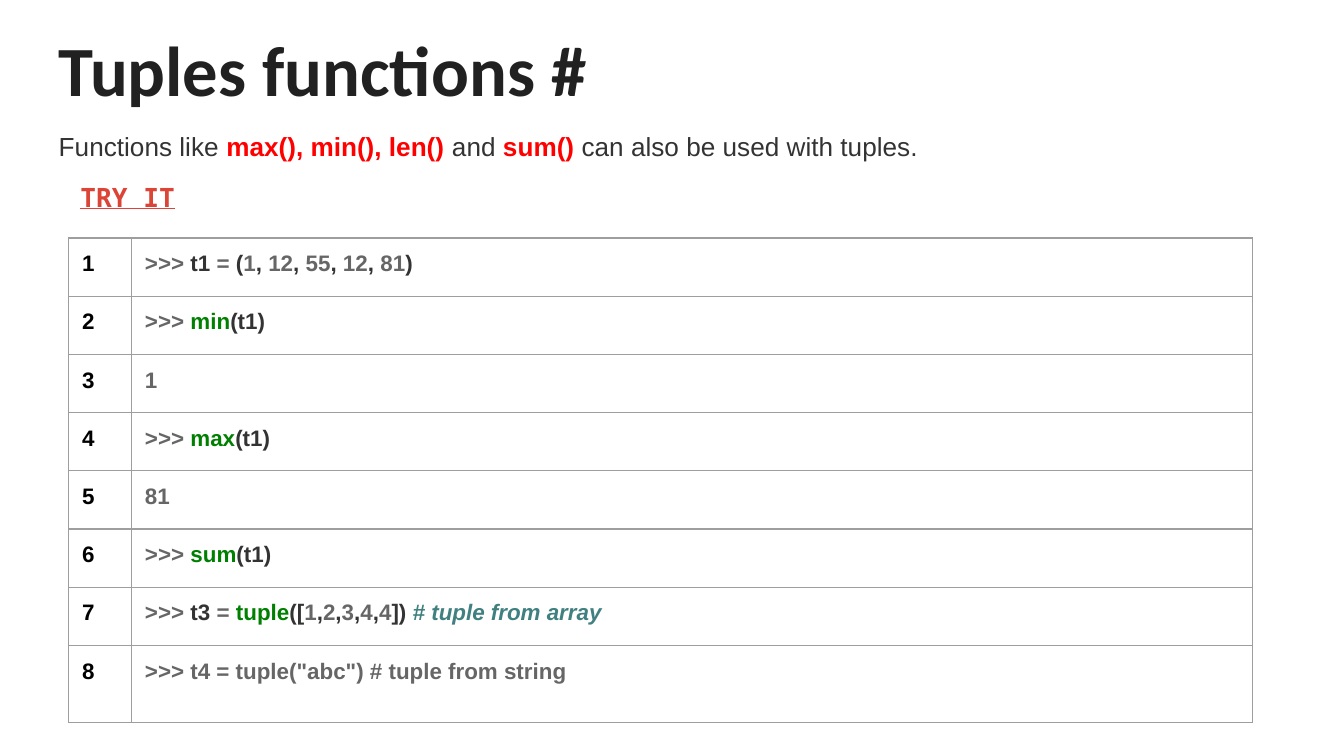
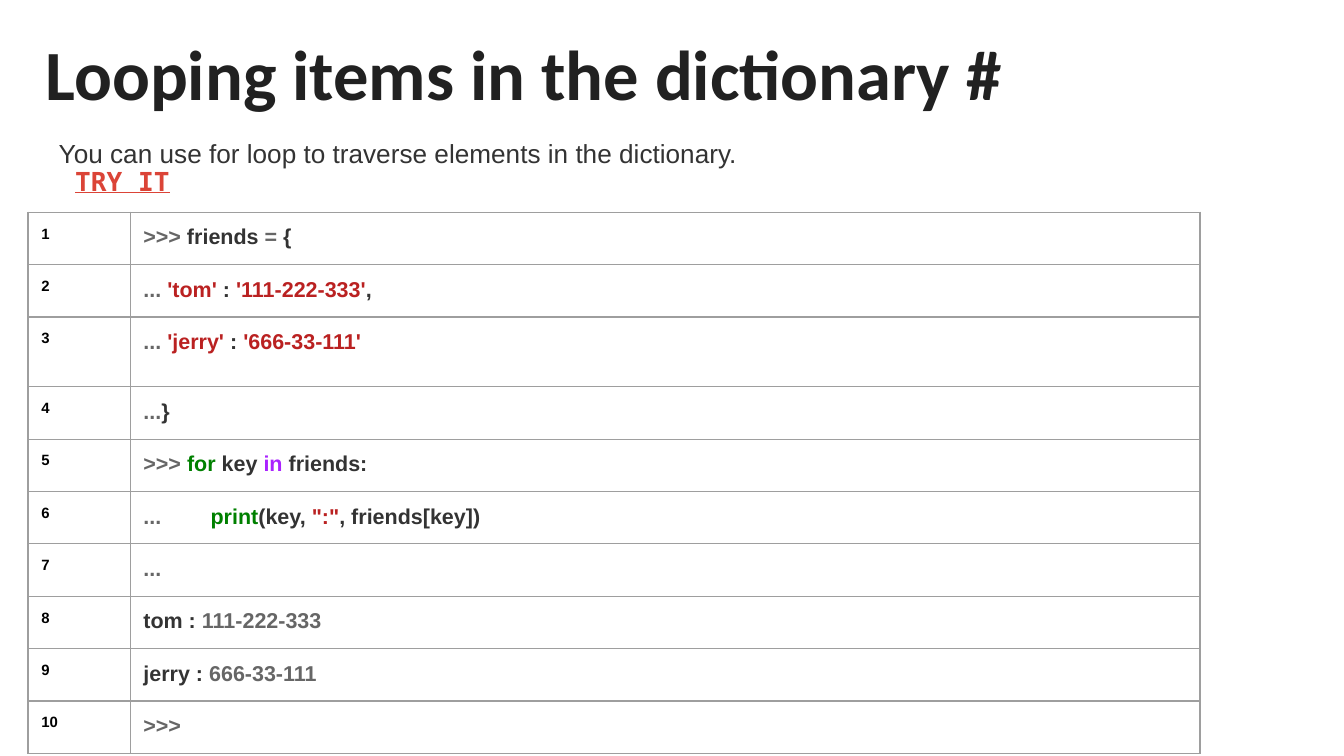
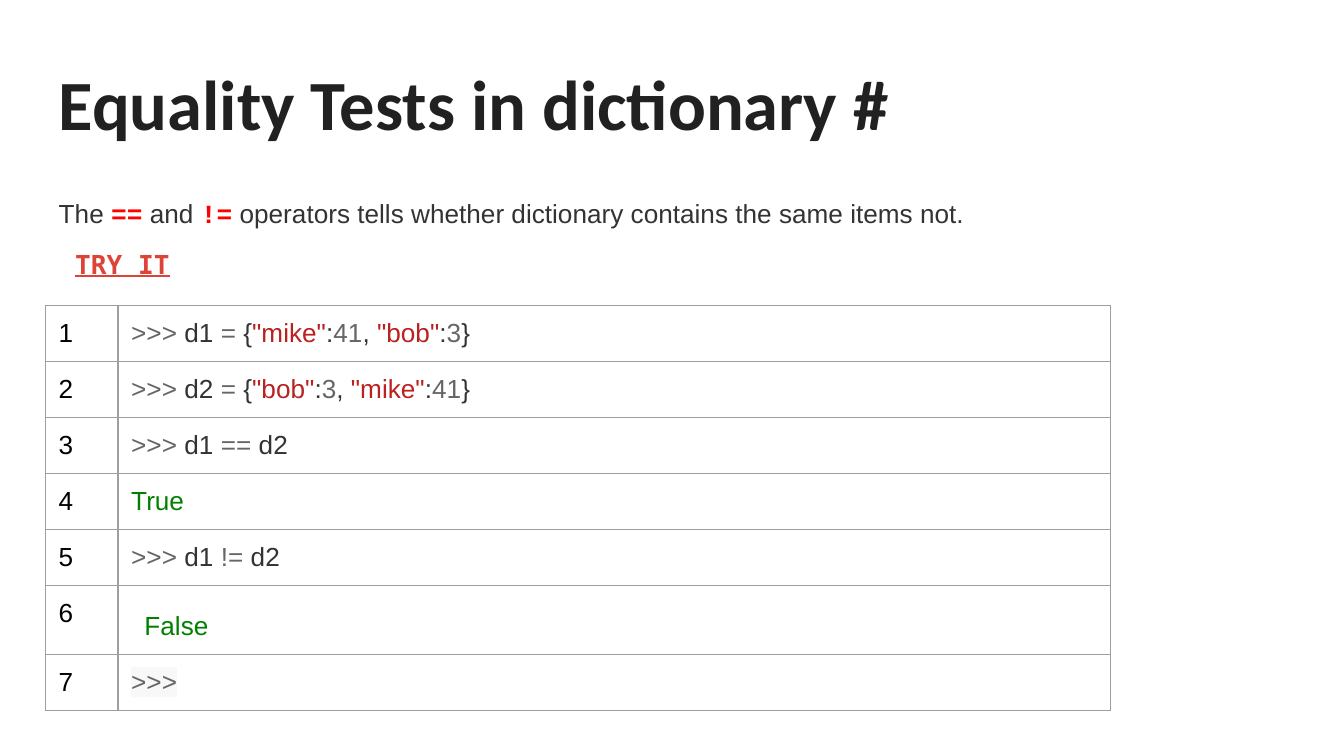
from lxml.etree import SubElement
from pptx import Presentation
from pptx.dml.color import RGBColor
from pptx.enum.text import MSO_ANCHOR, MSO_AUTO_SIZE, PP_ALIGN
from pptx.oxml.ns import qn
from pptx.util import Cm, Pt

COLORS = {
    "background": "FFFFFF",
    "heading": "212121",
    "link": "DB4437",
    "border": "9E9E9E",
    "number": "000000",
    "muted": "666666",
    "code": "333333",
    "keyword": "008000",
    "operator": "AA22FF",
    "string": "BA2121",
    "comment": "408080",
    "accent": "FF0000",
    "shade": "F8F8F8",
}
STYLES = {
    "heading": {"font": "Calibri", "bold": True},
    "link": {"font": "DejaVu Sans Mono", "bold": True, "underline": True},
    "comment": {"italic": True},
    "accent": {"bold": True},
    "symbol": {"color": "accent", "font": "Courier New", "bold": True},
    "shaded": {"color": "muted", "highlight": "shade"},
}
MARGIN = Cm(0.25)
TITLE_SIZE = (23.67, 2.24)
LINK_SIZE = (8.33, 1.12)
PROMPT = (">>> ", "muted")
DOTS = ("... ", "muted")


def set_indent(paragraph, left=0, first=0):
    properties = paragraph._p.get_or_add_pPr()
    properties.set("marL", str(Cm(left)))
    properties.set("indent", str(Cm(first)))
    return properties


def write(paragraph, parts, size, bold=False):
    for words, kind in parts:
        style = STYLES.get(kind, {})
        run = paragraph.add_run()
        run.text = words
        font = run.font
        font.size = Pt(size)
        font.name = style.get("font", "Arial")
        font.bold = style.get("bold", bold)
        font.italic = style.get("italic", False)
        font.underline = style.get("underline", False)
        font.color.rgb = RGBColor.from_string(COLORS[style.get("color", kind)])
        if "highlight" in style:
            properties = run._r.get_or_add_rPr()
            highlight = SubElement(properties, qn("a:highlight"))
            SubElement(highlight, qn("a:srgbClr")).set("val", COLORS[style["highlight"]])
            properties.find(qn("a:solidFill")).addnext(highlight)


def fill_frame(holder, place, extent, parts, size, anchor=MSO_ANCHOR.TOP, spacing=1.0, first=0):
    holder.left, holder.top = map(Cm, place)
    holder.width, holder.height = map(Cm, extent)
    frame = holder.text_frame
    frame.auto_size = MSO_AUTO_SIZE.NONE
    frame.word_wrap = True
    frame.vertical_anchor = anchor
    frame.margin_left = frame.margin_right = frame.margin_top = frame.margin_bottom = MARGIN
    paragraph = frame.paragraphs[0]
    paragraph.alignment = PP_ALIGN.LEFT
    paragraph.line_spacing = spacing
    paragraph.space_before = Pt(0)
    SubElement(set_indent(paragraph, 0, first), qn("a:buNone"))
    write(paragraph, parts, size)


def draw_borders(cell):
    properties = cell._tc.get_or_add_tcPr()
    for position, side in enumerate(("lnL", "lnR", "lnT", "lnB")):
        line = SubElement(properties, qn(f"a:{side}"))
        line.set("w", str(Pt(0.75)))
        fill = SubElement(line, qn("a:solidFill"))
        SubElement(fill, qn("a:srgbClr")).set("val", COLORS["border"])
        properties.insert(position, line)


def add_listing(slide, place, columns, row_height, tall_row, code, number_size, code_size, bold):
    heights = [row_height] * len(code)
    heights[tall_row[0] - 1] = tall_row[1]
    listing = slide.shapes.add_table(
        len(code), 2, *map(Cm, place), Cm(sum(columns)), Cm(sum(heights))
    ).table
    listing.first_row = listing.horz_banding = False
    for column, width in zip(listing.columns, columns):
        column.width = Cm(width)
    for number, (row, height, parts) in enumerate(zip(listing.rows, heights, code), 1):
        row.height = Cm(height)
        contents = (([(str(number), "number")], number_size), (parts, code_size))
        for cell, (words, size) in zip(row.cells, contents):
            cell.fill.background()
            cell.margin_left = cell.margin_right = cell.margin_top = cell.margin_bottom = MARGIN
            cell.vertical_anchor = MSO_ANCHOR.TOP
            write(cell.text_frame.paragraphs[0], words, size, bold)
            draw_borders(cell)
    return listing


def add_lesson(deck, heading, heading_at, intro, intro_at, intro_height, link_at, link_indent=0):
    slide = deck.slides.add_slide(deck.slide_layouts[1])
    slide.background.fill.solid()
    slide.background.fill.fore_color.rgb = RGBColor.from_string(COLORS["background"])
    fill_frame(slide.shapes.title, heading_at, TITLE_SIZE, [(heading, "heading")], 37.8,
               anchor=MSO_ANCHOR.MIDDLE)
    fill_frame(slide.placeholders[1], intro_at, (TITLE_SIZE[0], intro_height), intro, 14,
               spacing=1.15)
    link = slide.shapes.add_textbox(0, 0, 0, 0)
    fill_frame(link, link_at, LINK_SIZE, [("TRY IT", "link")], 14, first=link_indent)
    return slide


def call_on_t1(function):
    return [PROMPT, (function, "keyword"), ("(t1)", "code")]


def joined(values, separator):
    parts = []
    for value in values:
        parts += [(value, "muted"), (separator, "code")]
    return parts[:-1]


def assignment(name):
    return [(">>>", "muted"), (f" {name} ", "code"), ("=", "muted")]


def entry(name, age):
    return [(f'"{name}"', "string"), (":", "code"), (age, "muted")]


def ages(name, first, second):
    return [*assignment(name), (" {", "code"), *entry(*first), (", ", "code"),
            *entry(*second), ("}", "code")]


def comparison(operator):
    return [(">>>", "muted"), (" d1 ", "code"), (operator, "muted"), (" d2", "code")]


def contact(name, phone):
    return [DOTS, (f"'{name}'", "string"), (" : ", "code"), (f"'{phone}'", "string")]


def add_tuple_functions(deck):
    intro = [("Functions like ", "code"), ("max(), min(), len()", "accent"), (" and ", "code"),
             ("sum()", "accent"), (" can also be used with tuples.", "code")]
    code = [
        [*assignment("t1"), (" (", "code"),
         *joined(("1", "12", "55", "12", "81"), ", "), (")", "code")],
        call_on_t1("min"),
        [("1", "muted")],
        call_on_t1("max"),
        [("81", "muted")],
        call_on_t1("sum"),
        [*assignment("t3"), (" ", "muted"), ("tuple", "keyword"), ("([", "code"),
         *joined("12344", ","), ("]) ", "code"), ("# tuple from array", "comment")],
        [('>>> t4 = tuple("abc") # tuple from string', "muted")],
    ]
    slide = add_lesson(deck, "Tuples functions #", (0.86, 0.18), intro, (0.86, 2.13), 1.14,
                       (0, 3.18), link_indent=1.27)
    add_listing(slide, (1.3, 4.5), (1.19, 21.18), 1.1, (8, 1.45), code, 12, 12, True)


def add_dictionary_loop(deck):
    intro = [("You can use for loop to traverse elements in the dictionary.", "code")]
    code = [
        [*assignment("friends"), (" {", "code")],
        [*contact("tom", "111-222-333"), (",", "code")],
        contact("jerry", "666-33-111"),
        [("...", "muted"), ("}", "code")],
        [PROMPT, ("for", "keyword"), (" key ", "code"), ("in", "operator"),
         (" friends:", "code")],
        [("...\t", "muted"), ("print", "keyword"), ("(key, ", "code"), ('":"', "string"),
         (", friends[key])", "code")],
        [("...", "muted")],
        [("tom : ", "code"), ("111-222-333", "muted")],
        [("jerry : ", "code"), ("666-33-111", "muted")],
        [(">>>", "muted")],
    ]
    slide = add_lesson(deck, "Looping items in the dictionary #", (0.61, 0.25), intro,
                       (0.86, 2.26), 1.27, (1.17, 2.87))
    listing = add_listing(slide, (0.53, 4.01), (1.93, 20.22), 0.99, (3, 1.32), code, 8, 11.5, True)
    loop_body = listing.cell(5, 1).text_frame.paragraphs[0]
    tabs = SubElement(set_indent(loop_body), qn("a:tabLst"))
    stop = SubElement(tabs, qn("a:tab"))
    stop.set("pos", str(Cm(0.91)))
    stop.set("algn", "l")


def add_equality_tests(deck):
    intro = [("The ", "code"), ("==", "symbol"), (" and ", "code"), ("!=", "symbol"),
             (" operators tells whether dictionary contains the same items not.", "code")]
    mike, bob = ("mike", "41"), ("bob", "3")
    code = [
        ages("d1", mike, bob),
        ages("d2", bob, mike),
        comparison("=="),
        [("True", "keyword")],
        comparison("!="),
        [("False", "keyword")],
        [(">>>", "shaded")],
    ]
    slide = add_lesson(deck, "Equality Tests in dictionary #", (0.86, 0.81), intro,
                       (0.86, 3.4), 1.68, (1.17, 4.45))
    listing = add_listing(slide, (0.86, 5.77), (1.37, 18.75), 1.06, (6, 1.28), code, 14, 14, False)
    outcome = listing.cell(5, 1).text_frame.paragraphs[0]
    set_indent(outcome, 0.25)
    outcome.line_spacing = 1.43


def main():
    deck = Presentation()
    deck.slide_width, deck.slide_height = Cm(25.4), Cm(14.29)
    add_tuple_functions(deck)
    add_dictionary_loop(deck)
    add_equality_tests(deck)
    deck.save("out.pptx")


if __name__ == "__main__":
    main()
